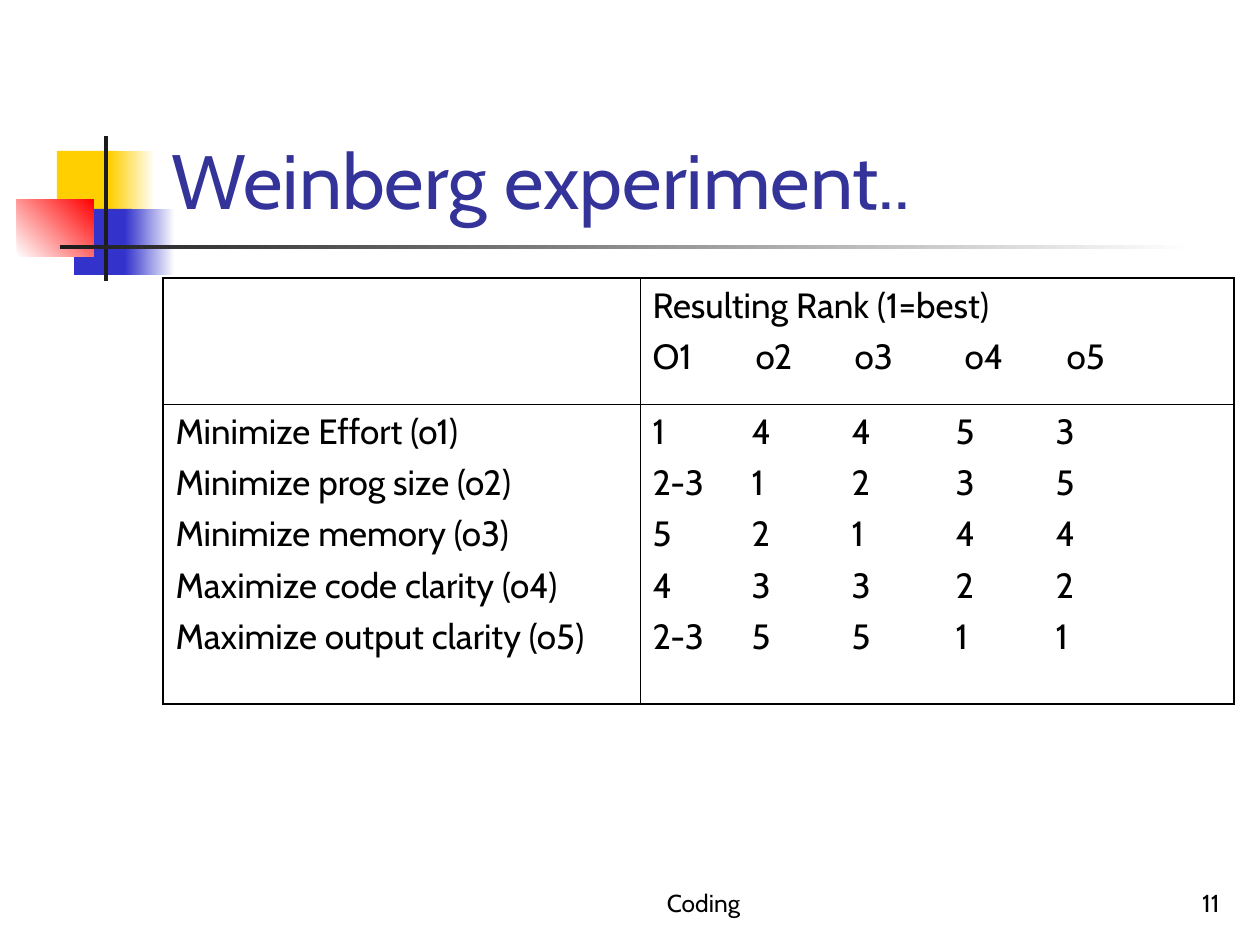
from dataclasses import dataclass

from lxml import etree
from pptx import Presentation
from pptx.dml.color import RGBColor
from pptx.enum.shapes import MSO_SHAPE
from pptx.enum.text import MSO_ANCHOR, PP_ALIGN
from pptx.oxml.ns import qn
from pptx.util import Emu, Pt

RECT = MSO_SHAPE.RECTANGLE
BOTTOM = MSO_ANCHOR.BOTTOM
LEFT, CENTER, RIGHT = PP_ALIGN.LEFT, PP_ALIGN.CENTER, PP_ALIGN.RIGHT
PX_PER_INCH = 126


@dataclass(frozen=True)
class Theme:
    """Font, colours and point sizes of the slide."""
    font: str = "Cabin"
    white: str = "FFFFFF"
    text: str = "000000"
    title: str = "333399"
    yellow: str = "FFCF01"
    blue: str = "3333CC"
    red: str = "FF0000"
    bar: str = "1C1C1C"
    title_size: int = 44
    body_size: int = 20
    footer_size: int = 14
    space_before: int = 5
    outer_line: float = 1.08
    inner_line: float = 0.45


THEME = Theme()
HEADER = ["Resulting Rank (1=best)", "O1\to2\to3\to4\to5"]
RANKS = {
    "Minimize Effort (o1)": ["1", "4", "4", "5", "3"],
    "Minimize prog size (o2)": ["2-3", "1", "2", "3", "5"],
    "Minimize memory (o3)": ["5", "2", "1", "4", "4"],
    "Maximize code clarity (o4)": ["4", "3", "3", "2", "2"],
    "Maximize output clarity (o5)": ["2-3", "5", "5", "1", "1"],
}
HEADER_TABS = (103, 202, 312, 414)
RANK_TABS = (99, 199, 303, 403)


def px(n):
    """Turn pixels into EMU."""
    return Emu(round(n * 914400 / PX_PER_INCH))


def format_paragraph(p, size, color, align=LEFT):
    """Set the alignment and font of a paragraph."""
    p.alignment = align
    for r in p.runs:
        r.font.name = THEME.font
        r.font.size = Pt(size)
        r.font.color.rgb = RGBColor.from_string(color)


def add_rect(s, box, start, end=None, angle=0):
    """Add a plain rectangle with a solid or two-colour fill."""
    sp = s.shapes.add_shape(RECT, *map(px, box))
    sp.shadow.inherit = False
    sp.line.fill.background()
    if end is None:
        sp.fill.solid()
        sp.fill.fore_color.rgb = RGBColor.from_string(start)
        return
    sp.fill.gradient()
    sp.fill.gradient_angle = angle
    for stop, color in zip(sp.fill.gradient_stops, (start, end)):
        stop.color.rgb = RGBColor.from_string(color)


def add_ornament(s, x, y):
    """Add the coloured squares and crossing bars."""
    t = THEME
    for box, *fill in (
        ((40, 15, 61, 66), t.yellow),
        ((93, 15, 45, 66), t.yellow, t.white),
        ((57, 73, 58, 66), t.blue),
        ((108, 73, 50, 66), t.blue, t.white),
        ((0, 63, 77, 58), t.white, t.red, 45),
        ((87, 0, 4, 145), t.bar),
        ((43, 109, 1134, 4), t.bar, t.white),
    ):
        left, top, width, height = box
        add_rect(s, (x + left, y + top, width, height), *fill)


def place(sp, box):
    """Move and size a shape."""
    sp.left, sp.top, sp.width, sp.height = map(px, box)


def add_title(s, box, text):
    """Fill the title placeholder."""
    sp = s.shapes.title
    place(sp, box)
    tf = sp.text_frame
    tf.text = text
    tf.vertical_anchor = BOTTOM
    format_paragraph(tf.paragraphs[0], THEME.title_size, THEME.title)


def add_footer(s, box, text, align):
    """Add one footer text."""
    tf = s.shapes.add_textbox(*map(px, box)).text_frame
    tf.word_wrap = True
    tf.vertical_anchor = BOTTOM
    tf.text = text
    format_paragraph(tf.paragraphs[0], THEME.footer_size, THEME.text, align)


def set_tabs(p, stops):
    """Set left tab stops on a paragraph."""
    tabs = etree.SubElement(p._p.get_or_add_pPr(), qn("a:tabLst"))
    for stop in stops:
        etree.SubElement(tabs, qn("a:tab"), pos=str(px(stop)), algn="l")


def set_borders(cell, widths):
    """Draw the left, right, top and bottom borders of a cell."""
    tc_pr = cell._tc.get_or_add_tcPr()
    for side, width in zip("LRTB", widths):
        ln = etree.SubElement(tc_pr, qn(f"a:ln{side}"), w=str(Pt(width)))
        fill = etree.SubElement(ln, qn("a:solidFill"))
        etree.SubElement(fill, qn("a:srgbClr"), val=THEME.text)


def fill_cell(cell, lines, stops):
    """Write one paragraph per line into a cell."""
    tf = cell.text_frame
    tf.text = "\n".join(lines)
    for p in tf.paragraphs:
        format_paragraph(p, THEME.body_size, THEME.text)
        p.space_before = Pt(THEME.space_before)
        if stops:
            set_tabs(p, stops)


def add_rank_table(s, box, columns, rows):
    """Add the table of goals and resulting ranks."""
    table = s.shapes.add_table(len(rows), len(columns), *map(px, box)).table
    table.first_row = table.horz_banding = False
    for column, width in zip(table.columns, columns):
        column.width = px(width)
    for row, height in zip(table.rows, rows):
        row.height = px(height)
    ranks = ["\t".join(values) for values in RANKS.values()]
    contents = (
        (([], ()), (HEADER, HEADER_TABS)),
        ((list(RANKS), ()), (ranks, RANK_TABS)),
    )
    outer, inner = THEME.outer_line, THEME.inner_line
    for i, content_row in enumerate(contents):
        for j, (lines, stops) in enumerate(content_row):
            cell = table.cell(i, j)
            across = (inner, outer) if j else (outer, inner)
            down = (inner, outer) if i else (outer, inner)
            set_borders(cell, across + down)
            cell.fill.background()
            if lines:
                fill_cell(cell, lines, stops)


def main():
    """Build and save the slide."""
    prs = Presentation()
    prs.slide_width, prs.slide_height = px(1260), px(945)
    s = prs.slides.add_slide(prs.slide_layouts[5])
    add_ornament(s, 17, 136)
    add_footer(s, (504, 861, 399, 63), "Coding", CENTER)
    add_footer(s, (970, 861, 262, 63), "11", RIGHT)
    add_title(s, (159, 29, 1073, 202), "Weinberg experiment..")
    add_rank_table(s, (163, 278, 1071, 426), (477, 594), (126, 300))
    prs.save("out.pptx")


if __name__ == "__main__":
    main()
